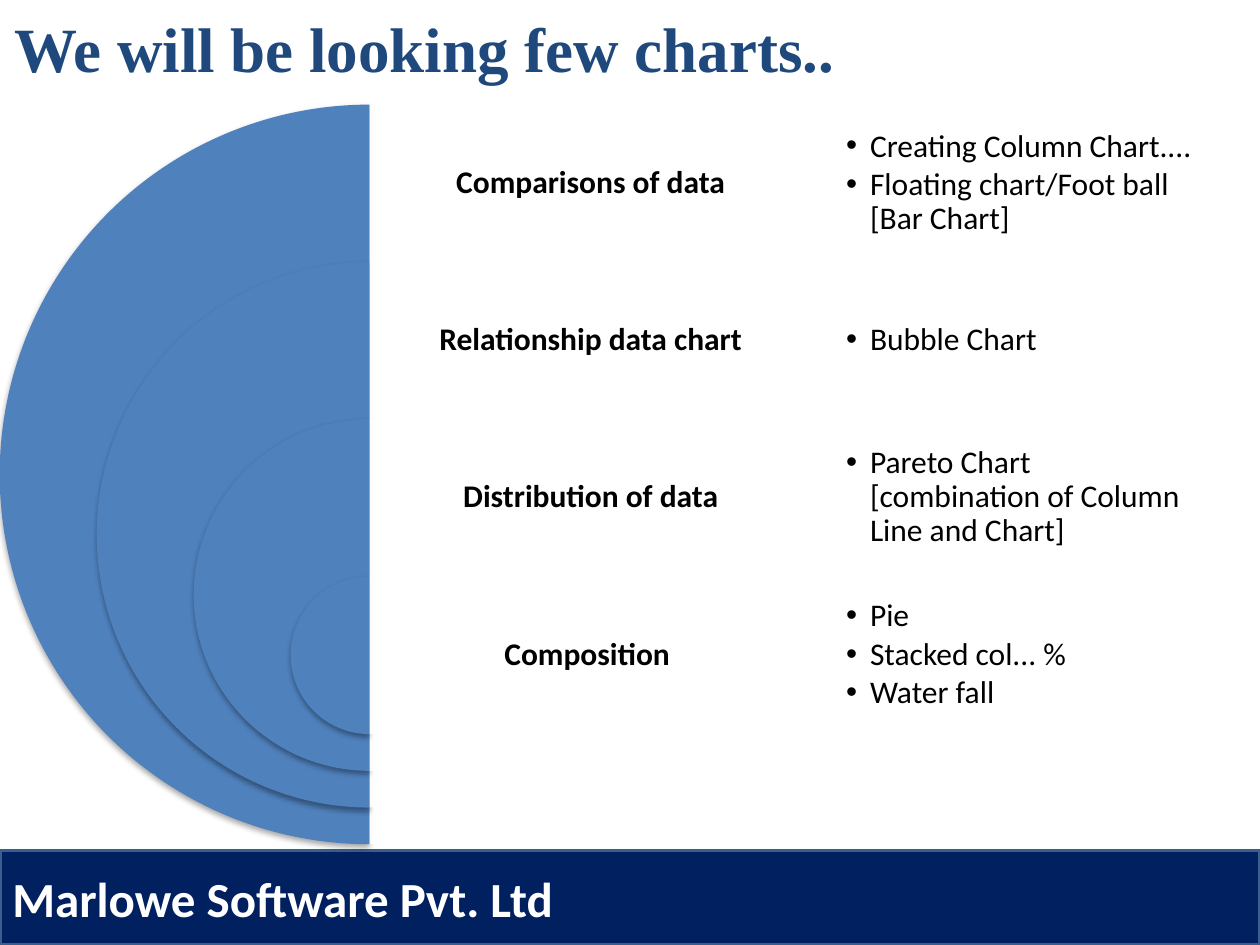
from dataclasses import dataclass

from lxml import etree
from pptx import Presentation
from pptx import util as u
from pptx.dml.color import RGBColor
from pptx.enum import shapes, text
from pptx.oxml import ns


@dataclass(frozen=True)
class Theme:
    """Colours, fonts and type sizes of the slide."""
    navy: str = "002060"
    navy_line: str = "3A5F8C"
    title: str = "1F497D"
    disc: str = "4F81BD"
    white: str = "FFFFFF"
    black: str = "000000"
    body_font: str = "Calibri"
    title_font: str = "Times New Roman"
    title_size: int = 36
    footer_size: int = 28
    body_size: int = 18


THEME = Theme()
TOP, ROW, CENTRE = 2.11, 3.17, 7.45
DIAMETER, SHRINK, COLUMN = 14.91, 3.91, 8.92
TOPICS = [
    ("Comparisons of data",
     ["Creating Column Chart....", "Floating chart/Foot ball [Bar Chart]"]),
    ("Relationship data chart", ["Bubble Chart"]),
    ("Distribution of data",
     ["Pareto Chart\v[combination of Column Line and Chart]"]),
    ("Composition ", ["Pie", "Stacked col... %", "Water fall"]),
]


def add_node(parent, tag, **attributes):
    """Append a DrawingML element with the given attributes."""
    values = {name: str(value) for name, value in attributes.items()}
    return etree.SubElement(parent, ns.qn(tag), values)


def format_text(para, size, color, bold=False, font=THEME.body_font):
    """Give every run of a paragraph the same look."""
    for span in para.runs:
        span.font.size = u.Pt(size)
        span.font.name = font
        span.font.bold = bold
        span.font.color.rgb = RGBColor.from_string(color)


def add_filled(page, kind, left, top, width, height, color):
    """Add a borderless preset shape without the theme shadow."""
    shape = page.shapes.add_shape(
        kind, u.Cm(left), u.Cm(top), u.Cm(width), u.Cm(height))
    shape.shadow.inherit = False
    shape.fill.solid()
    shape.fill.fore_color.rgb = RGBColor.from_string(color)
    shape.line.fill.background()
    return shape


def add_half_disc(page, top, diameter):
    """Add the left half of a disc with a soft shadow below."""
    disc = add_filled(page, shapes.MSO_SHAPE.PIE, CENTRE - diameter / 2, top,
                      diameter, diameter, THEME.disc)
    disc.adjustments[0] = 54
    disc.adjustments[1] = 162
    effects = disc.element.spPr.find(ns.qn("a:effectLst"))
    shadow = add_node(effects, "a:outerShdw", blurRad=u.Pt(3.1),
                      dist=u.Pt(1.8), dir=5400000, rotWithShape=0)
    color = add_node(shadow, "a:srgbClr", val=THEME.black)
    add_node(color, "a:alpha", val=35000)


def add_panel(page, top, height):
    """Add the nearly opaque white panel right of a half disc."""
    panel = add_filled(page, shapes.MSO_SHAPE.RECTANGLE, CENTRE, top,
                       2 * COLUMN, height, THEME.white)
    color = panel.element.spPr.find(".//" + ns.qn("a:srgbClr"))
    add_node(color, "a:alpha", val=90000)


def add_text(page, left, top, lines, inset):
    """Add a vertically centred text box of one cell."""
    box = page.shapes.add_textbox(
        u.Cm(left), u.Cm(top), u.Cm(COLUMN), u.Cm(ROW))
    frame = box.text_frame
    frame.word_wrap = True
    frame.vertical_anchor = text.MSO_ANCHOR.MIDDLE
    frame.margin_left = frame.margin_right = u.Cm(inset)
    frame.margin_top = frame.margin_bottom = u.Cm(inset)
    frame.text = "\n".join(lines)
    for para, line in zip(frame.paragraphs, lines):
        para.text = line
        para.line_spacing = 0.9
    return frame.paragraphs


def add_label(page, top, label):
    """Add the bold centred name of a topic."""
    for para in add_text(page, CENTRE, top, [label], 0.18):
        para.alignment = text.PP_ALIGN.CENTER
        format_text(para, THEME.body_size, THEME.black, bold=True)


def add_bullets(page, top, lines):
    """Add the bulleted charts of a topic."""
    for para in add_text(page, CENTRE + COLUMN, top, lines, 0.69):
        para.level = 1
        para.space_after = u.Pt(2.7)
        format_text(para, THEME.body_size, THEME.black)
        properties = para._p.get_or_add_pPr()
        properties.set("marL", str(u.Cm(0.48)))
        properties.set("indent", str(u.Cm(-0.48)))
        add_node(properties, "a:buFont", typeface="Arial")
        add_node(properties, "a:buChar", char="•")


def add_footer(page):
    """Add the navy bar with the company name."""
    bar = add_filled(page, shapes.MSO_SHAPE.RECTANGLE, 0, 17.15, 25.4, 1.9,
                     THEME.navy)
    bar.line.color.rgb = RGBColor.from_string(THEME.navy_line)
    bar.line.width = u.Pt(2)
    bar.text_frame.text = "Marlowe Software Pvt. Ltd"
    bar.text_frame.vertical_anchor = text.MSO_ANCHOR.MIDDLE
    para = bar.text_frame.paragraphs[0]
    para.alignment = text.PP_ALIGN.LEFT
    format_text(para, THEME.footer_size, THEME.white, bold=True)


def set_title(page, title):
    """Place and format the title placeholder."""
    box = page.shapes.title
    box.left, box.top = u.Cm(0.03), u.Cm(0)
    box.width, box.height = u.Cm(25.37), u.Cm(1.9)
    box.text_frame.text = title
    box.text_frame.vertical_anchor = text.MSO_ANCHOR.MIDDLE
    para = box.text_frame.paragraphs[0]
    para.alignment = text.PP_ALIGN.LEFT
    format_text(para, THEME.title_size, THEME.title, True, THEME.title_font)


def main():
    """Build and save the slide."""
    deck = Presentation()
    deck.slide_width, deck.slide_height = u.Cm(25.4), u.Cm(19.05)
    page = deck.slides.add_slide(deck.slide_layouts[5])
    add_footer(page)
    set_title(page, "We will be looking few charts..")
    for index, (label, charts) in enumerate(TOPICS):
        top = TOP + index * ROW
        diameter = DIAMETER - index * SHRINK
        add_half_disc(page, top, diameter)
        add_panel(page, top, diameter)
        add_label(page, top, label)
    for index, (label, charts) in enumerate(TOPICS):
        add_bullets(page, TOP + index * ROW, charts)
    deck.save("out.pptx")


if __name__ == "__main__":
    main()
